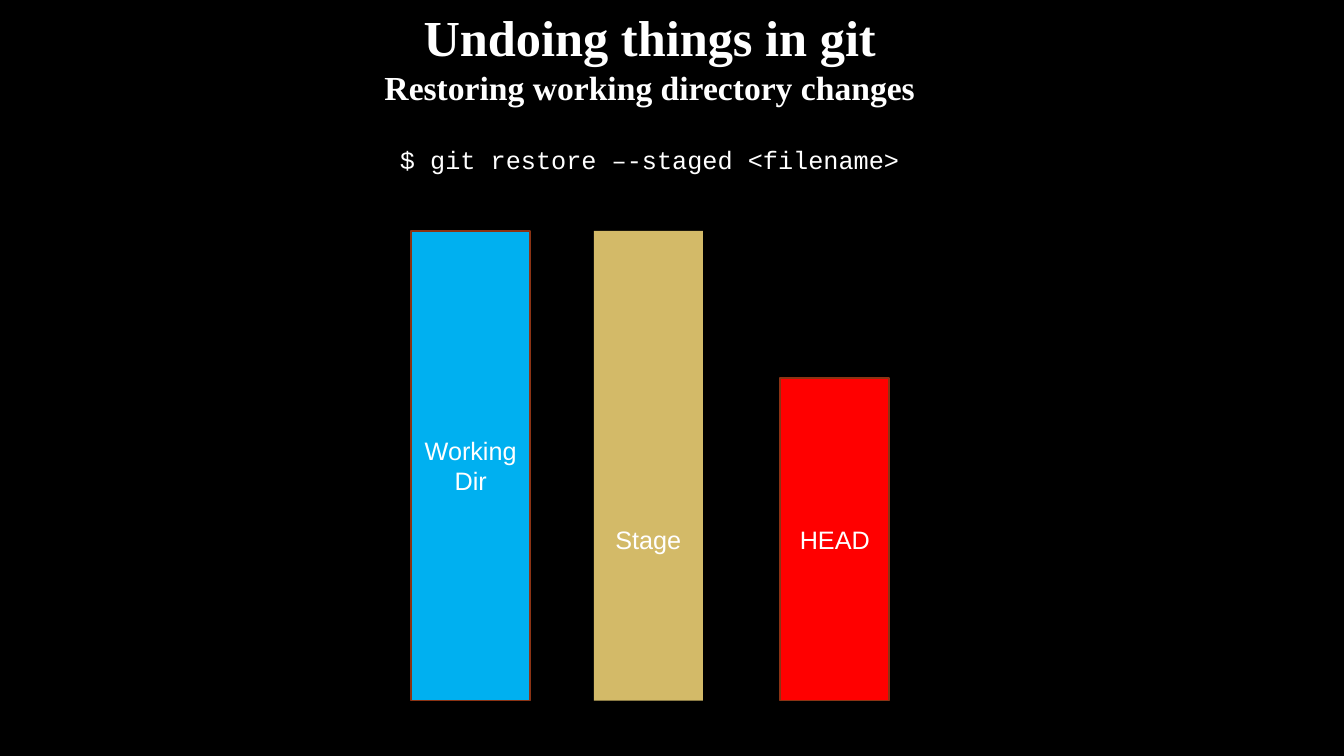
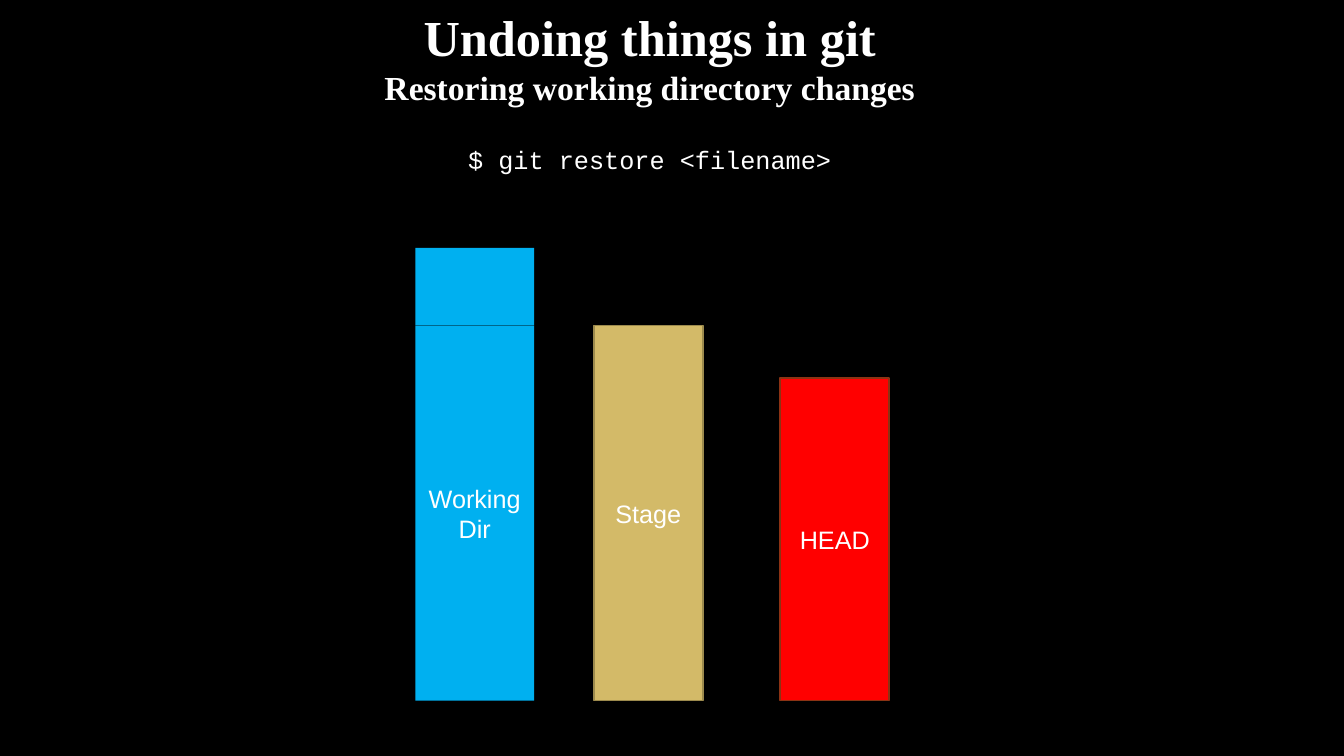
"""Build two slides on undoing changes in git."""
from dataclasses import dataclass

from pptx import Presentation
from pptx.dml.color import RGBColor
from pptx.enum.shapes import MSO_SHAPE
from pptx.enum.text import MSO_ANCHOR, MSO_AUTO_SIZE, PP_ALIGN
from pptx.util import Inches, Pt


@dataclass(frozen=True)
class Theme:
    """Colours, fonts and type sizes."""
    back: str = "000000"
    ink: str = "FFFFFF"
    blue: str = "00B0F0"
    sand: str = "D3BA68"
    red: str = "FF0000"
    rust: str = "8B3314"
    olive: str = "9C8A4D"
    serif: str = "Times New Roman"
    sans: str = "Arial"
    mono: str = "Courier New"
    head: int = 36
    sub: int = 24
    body: int = 18
    edge: float = 1.25


@dataclass(frozen=True)
class Lane:
    """Place and look of one column of bars, in percent."""
    left: float
    width: float
    fill: str


THEME = Theme()
BASE = 92.67
SPLIT = 43.07
WORK = Lane(30.6, 8.85, THEME.blue)
WORK_TWO = Lane(30.9, 8.85, THEME.blue)
STAGE = Lane(44.19, 8.1, THEME.sand)
HEAD = Lane(58.06, 8.1, THEME.red)


class Deck:
    """Hold the style and the current slide."""

    def __init__(self, theme):
        """Set up a wide, dark deck."""
        self.theme = theme
        self.show = Presentation()
        self.show.slide_width = Inches(13.33)
        self.show.slide_height = Inches(7.5)
        fill = self.show.slide_master.background.fill
        fill.solid()
        fill.fore_color.rgb = RGBColor.from_string(theme.back)
        self.slide = None

    def place(self, left, top, width, height):
        """Turn percent of the slide into lengths."""
        wide, high = self.show.slide_width, self.show.slide_height
        return [round(part * side / 100) for part, side in
                zip((left, top, width, height), (wide, high, wide, high))]

    def label(self, frame, text, font, sizes, bold=False, anchor=MSO_ANCHOR.TOP):
        """Fill a frame with centred text, one size for each line."""
        frame.text = text
        frame.word_wrap = True
        frame.auto_size = MSO_AUTO_SIZE.NONE
        frame.vertical_anchor = anchor
        for line, size in zip(frame.paragraphs, sizes):
            line.alignment = PP_ALIGN.CENTER
            for run in line.runs:
                run.font.name = font
                run.font.size = Pt(size)
                run.font.bold = bold
                run.font.color.rgb = RGBColor.from_string(self.theme.ink)

    def title(self, text):
        """Start a slide with a heading and a line below it."""
        self.slide = self.show.slides.add_slide(self.show.slide_layouts[5])
        box = self.slide.shapes.title
        box.left, box.top, box.width, box.height = self.place(19.5, 0.13, 57.69, 14.8)
        self.label(box.text_frame, text, self.theme.serif,
                   (self.theme.head, self.theme.sub), True)

    def code(self, text):
        """Add the command line."""
        box = self.slide.shapes.add_textbox(*self.place(23.33, 18.4, 50, 5.33))
        self.label(box.text_frame, text, self.theme.mono, [self.theme.body])

    def bar(self, lane, top, base=BASE, text="", edge=None):
        """Add a bar that spans from top to base in a lane."""
        spot = self.place(lane.left, top, lane.width, base - top)
        bar = self.slide.shapes.add_shape(MSO_SHAPE.RECTANGLE, *spot)
        bar.shadow.inherit = False
        bar.fill.solid()
        bar.fill.fore_color.rgb = RGBColor.from_string(lane.fill)
        if edge:
            bar.line.color.rgb = RGBColor.from_string(edge)
            bar.line.width = Pt(self.theme.edge)
        else:
            bar.line.fill.background()
        if text:
            self.label(bar.text_frame, text, self.theme.sans,
                       [self.theme.body], anchor=MSO_ANCHOR.MIDDLE)

    def start(self, code):
        """Add the parts that both slides share."""
        self.title("Undoing things in git\nRestoring working directory changes")
        self.code(code)
        self.bar(HEAD, 50, text="HEAD", edge=self.theme.rust)


def main():
    """Draw both slides and save them."""
    deck = Deck(THEME)

    deck.start("$ git restore –-staged <filename>")
    deck.bar(WORK, 30.53, text="Working Dir", edge=THEME.rust)
    deck.bar(STAGE, 50, text="Stage")
    deck.bar(STAGE, 30.53, base=50)

    deck.start("$ git restore <filename>")
    deck.bar(WORK_TWO, SPLIT, text="Working Dir")
    deck.bar(WORK_TWO, 32.8, base=SPLIT)
    deck.bar(STAGE, SPLIT, text="Stage", edge=THEME.olive)

    deck.show.save("out.pptx")


if __name__ == "__main__":
    main()
